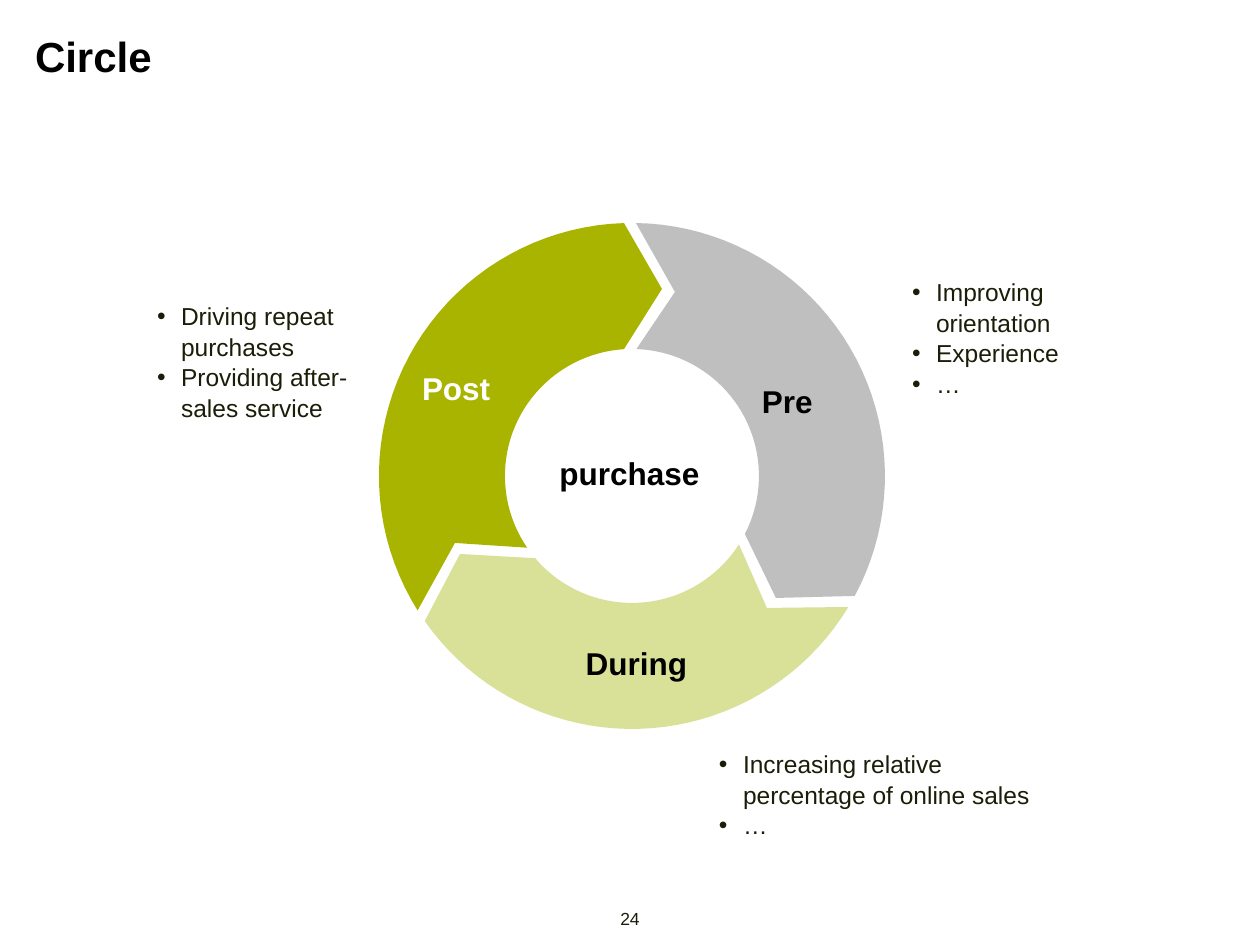
from math import cos, radians, sin

from lxml import etree
from pptx import Presentation
from pptx.dml.color import RGBColor
from pptx.enum.shapes import MSO_SHAPE
from pptx.enum.text import MSO_ANCHOR, PP_ALIGN
from pptx.oxml.ns import qn
from pptx.util import Pt

PX = 914400 / 126
LEFT, CENTER = PP_ALIGN.LEFT, PP_ALIGN.CENTER
TOP, MIDDLE = MSO_ANCHOR.TOP, MSO_ANCHOR.MIDDLE
RECTANGLE = MSO_SHAPE.RECTANGLE

BLACK = RGBColor(0x00, 0x00, 0x00)
WHITE = RGBColor(0xFF, 0xFF, 0xFF)
INK = RGBColor(0x1B, 0x1D, 0x08)
OLIVE = RGBColor(0xA8, 0xB4, 0x00)
LIME = RGBColor(0xD8, 0xE1, 0x97)
GRAY = RGBColor(0xBF, 0xBF, 0xBF)

RING_X, RING_Y = 632, 476
OUTER, INNER = 253, 127
ARC_STEPS = 40


def emu(px):
    return round(px * PX)


def arc(radius, start, end):
    angles = [radians(start + (end - start) * i / ARC_STEPS) for i in range(ARC_STEPS + 1)]
    return [(RING_X + radius * sin(a), RING_Y - radius * cos(a)) for a in angles]


class SlideBuilder:
    """Draws styled elements, measured in px, on the current page."""

    font = "Arial"
    line_spacing = 1.04
    indent = 24

    def __init__(self, deck):
        self.page = deck.slides.add_slide(deck.slide_layouts[6])

    def set_text(self, shape, lines, size, color, bold=False, align=LEFT, anchor=TOP, wrap=True):
        frame = shape.text_frame
        frame.margin_left = frame.margin_top = frame.margin_right = frame.margin_bottom = 0
        frame.word_wrap = wrap
        frame.vertical_anchor = anchor
        frame.text = "\n".join(lines)
        for para in frame.paragraphs:
            para.alignment = align
            para.line_spacing = self.line_spacing
            para.font.name = self.font
            para.font.size = Pt(size)
            para.font.bold = bold
            para.font.color.rgb = color
        return frame

    def text(self, box, words, size, color, **style):
        shape = self.page.shapes.add_textbox(*map(emu, box))
        self.set_text(shape, [words], size, color, **style)

    def bullets(self, box, lines):
        shape = self.page.shapes.add_shape(RECTANGLE, *map(emu, box))
        self.paint(shape, WHITE)
        for para in self.set_text(shape, lines, 14, INK).paragraphs:
            props = para._p.get_or_add_pPr()
            props.set("marL", str(emu(self.indent)))
            props.set("indent", str(-emu(self.indent)))
            bullet_font = etree.Element(qn("a:buFont"), typeface=self.font)
            bullet = etree.Element(qn("a:buChar"), char="•")
            props.find(qn("a:lnSpc")).addnext(bullet_font)
            bullet_font.addnext(bullet)

    def ring_arrow(self, color, outer_angles, tip, inner_angles, notch):
        points = [*arc(OUTER, *outer_angles), tip, *arc(INNER, *inner_angles), notch]
        start, *rest = [(emu(x), emu(y)) for x, y in points]
        builder = self.page.shapes.build_freeform(*start)
        builder.add_line_segments(rest, close=True)
        self.paint(builder.convert_to_shape(), color)

    def paint(self, shape, color):
        shape.shadow.inherit = False
        shape.fill.solid()
        shape.fill.fore_color.rgb = color
        shape.line.fill.background()


def main():
    deck = Presentation()
    deck.slide_width, deck.slide_height = emu(1260), emu(945)
    slide = SlideBuilder(deck)

    slide.text((611, 907, 38, 21), "24", 10, INK, align=CENTER)
    slide.text((35, 29, 1189, 50), "Circle", 24, BLACK, bold=True)

    slide.ring_arrow(LIME, (121.2, 235), (460, 554), (229.6, 122.6), (767, 608))
    slide.ring_arrow(OLIVE, (237.9, 358.2), (662, 289), (356.4, 235.6), (455, 543))
    slide.ring_arrow(GRAY, (0.9, 118.3), (776, 598), (117.2, 2), (675, 292))

    slide.text((581, 643, 111, 38), "During", 18, BLACK, bold=True, align=CENTER)
    slide.text((762, 381, 100, 38), "Pre", 18, BLACK, bold=True)
    slide.text((422, 368, 69, 38), "Post", 18, WHITE, bold=True)
    slide.text((559, 453, 141, 38), "purchase", 18, BLACK, bold=True,
               align=CENTER, anchor=MIDDLE, wrap=False)

    slide.bullets((157, 300, 205, 118), ["Driving repeat purchases", "Providing after-sales service"])
    slide.bullets((912, 276, 222, 118), ["Improving orientation", "Experience", "…"])
    slide.bullets((719, 748, 319, 89), ["Increasing relative percentage of online sales", "…"])

    deck.save("out.pptx")


if __name__ == "__main__":
    main()
